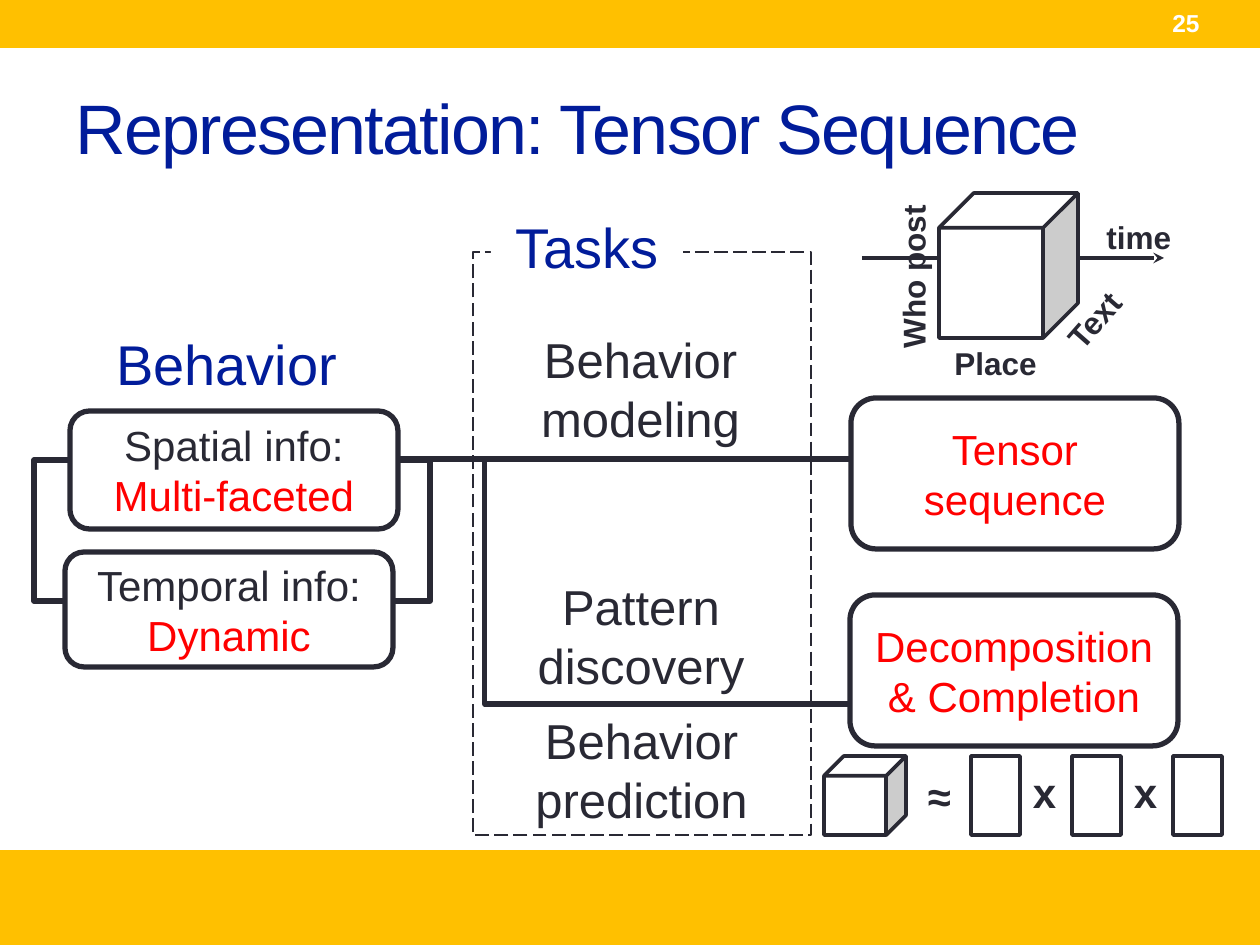
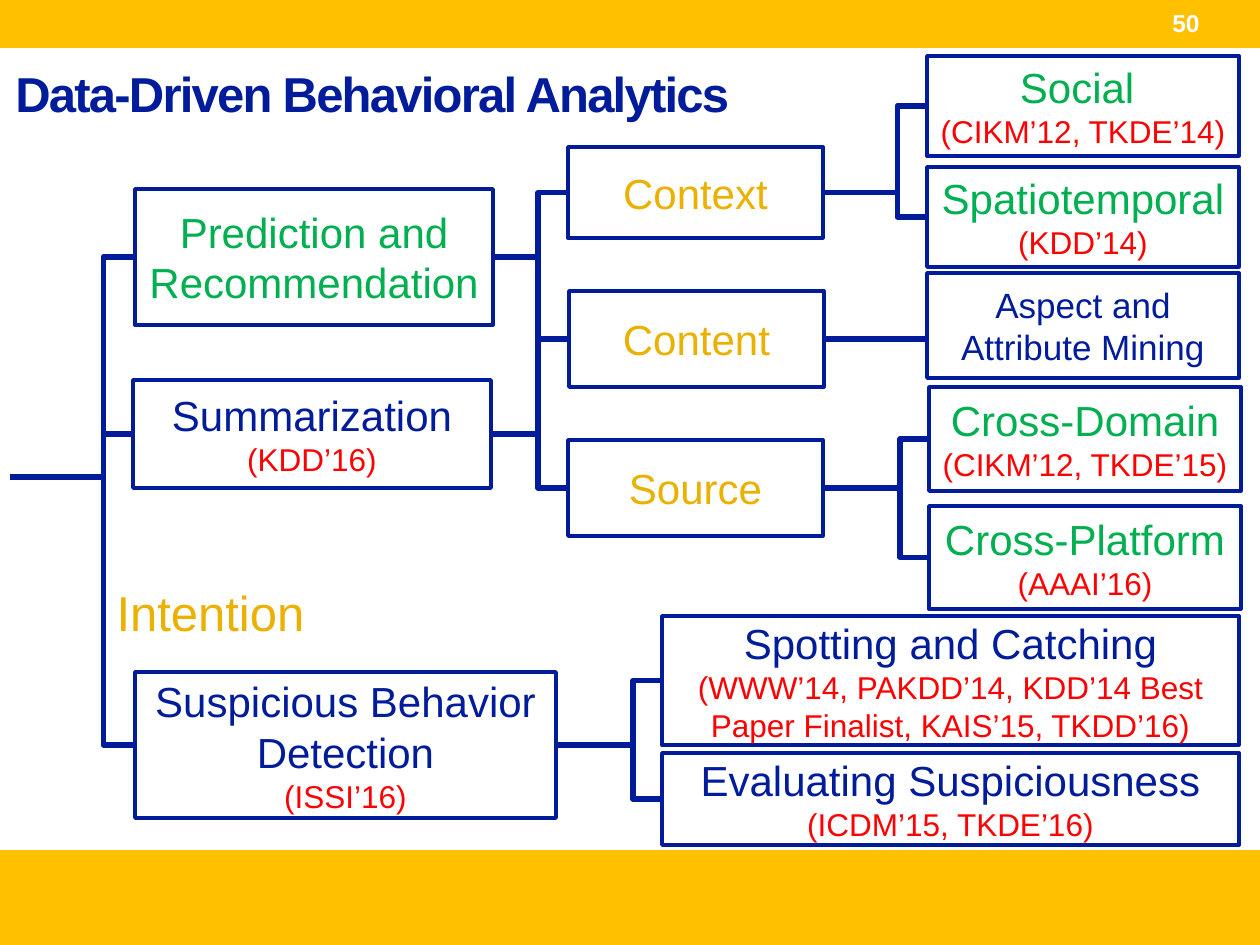
from lxml import etree
from pptx import Presentation
from pptx.dml.color import RGBColor
from pptx.enum.dml import MSO_LINE
from pptx.enum.shapes import MSO_CONNECTOR, MSO_SHAPE
from pptx.enum.text import MSO_ANCHOR, PP_ALIGN
from pptx.oxml.ns import qn
from pptx.util import Pt

EMU_PER_PX = 914400 / 126
WIDTH, HEIGHT = 1260, 945
FONT = "Arial"
GOLD, NAVY, INK, WHITE = "FFC000", "011C9A", "292934", "FFFFFF"
RED, GREEN, AMBER = "FF0000", "00B050", "EBB100"
THIN, THICK = 2.08, 3
LEFT_SIDE, RIGHT_SIDE = 1, 3

BANDS = [(0, 0, WIDTH, 48), (0, 850, WIDTH, 95)]
PAGE_NUMBER = (1160, 0, 100, 45)

BEHAVIOR_HEADING = ((63, 315, 328, 97), "Behavior")
TASKS_HEADING = ((491, 210, 192, 73), "Tasks")
TASKS_FRAME = (473, 252, 338, 583)
ROUNDED = [
    ((70, 411, 328, 118), [("Spatial info:", INK), ("Multi-faceted", RED)]),
    ((65, 552, 328, 115), [("Temporal info:", INK), ("Dynamic", RED)]),
    ((851, 398, 328, 151), [("Tensor sequence", RED)]),
    ((850, 595, 328, 151), [("Decomposition & Completion", RED)]),
]
TASKS = [
    ((452, 604, 378, 63), "Pattern discovery"),
    ((440, 738, 403, 63), "Behavior prediction"),
    ((491, 357, 299, 63), "Behavior modeling"),
]
INFO_BRACKETS = [
    ((65, 601), (70, 460), 34),
    ((393, 601), (398, 460), 430),
    ((850, 704), (849, 459), 482),
]
INFO_TO_TENSOR = ((398, 459), (850, 459))
TENSOR_CUBE = (939, 193, 139, 145)
TIME_AXIS = [((862, 258), (939, 258), False), ((1077, 258), (1164, 258), True)]
AXIS_LABELS = [
    ((942, 338, 108, 50), "Place", 0),
    ((828, 251, 170, 50), "Who post", 270),
    ((1050, 294, 88, 50), "Text", 311.3),
    ((1094, 212, 91, 50), "time", 0),
]
SMALL_CUBE = (824, 756, 82, 79)
APPROX = (915, 775, 49, 42)
FACTOR_COUNT, FACTOR_X, FACTOR_STEP, FACTOR_W = 3, 971, 101, 49

TOPICS = {
    "Prediction and Recommendation": ((135, 189, 358, 136), GREEN, 24, ""),
    "Summarization": ((133, 380, 358, 108), NAVY, 24, "(KDD’16)"),
    "Suspicious Behavior Detection": ((135, 672, 421, 146), NAVY, 24, "(ISSI’16)"),
    "Context": ((568, 147, 255, 91), AMBER, 24, ""),
    "Content": ((569, 291, 255, 96), AMBER, 24, ""),
    "Source": ((568, 440, 255, 96), AMBER, 24, ""),
    "Social ": ((927, 56, 312, 100), GREEN, 24, "(CIKM’12, TKDE’14)"),
    "Spatiotemporal": ((927, 167, 312, 100), GREEN, 24, "(KDD’14)"),
    "Aspect and Attribute Mining": ((927, 273, 312, 105), NAVY, 20, ""),
    "Cross-Domain": ((929, 387, 312, 104), GREEN, 24, "(CIKM’12, TKDE’15)"),
    "Cross-Platform": ((929, 506, 312, 103), GREEN, 24, "(AAAI’16)"),
    "Spotting and Catching": (
        (662, 616, 577, 129), NAVY, 24,
        "(WWW’14, PAKDD’14, KDD’14 Best Paper Finalist, KAIS’15, TKDD’16)"),
    "Evaluating Suspiciousness": ((662, 753, 577, 92), NAVY, 24, "(ICDM’15, TKDE’16)"),
}
TOPIC_BRACKETS = [
    ("Prediction and Recommendation", "Suspicious Behavior Detection", 103),
    ("Context", "Source", 538),
    ("Social ", "Spatiotemporal", 897),
    ("Cross-Domain", "Cross-Platform", 900),
    ("Spotting and Catching", "Evaluating Suspiciousness", 633),
]
STUBS = [
    ("Prediction and Recommendation", RIGHT_SIDE, 538),
    ("Summarization", RIGHT_SIDE, 538),
    ("Summarization", LEFT_SIDE, 103),
    ("Context", RIGHT_SIDE, 897),
    ("Content", LEFT_SIDE, 538),
    ("Content", RIGHT_SIDE, 927),
    ("Source", RIGHT_SIDE, 900),
    ("Suspicious Behavior Detection", RIGHT_SIDE, 630),
]
TRUNK = ((10, 477), (103, 477))
INTENTION = (103, 576, 215, 72)


def px(*values):
    return [round(v * EMU_PER_PX) for v in values]


def rgb(color):
    return RGBColor.from_string(color)


def write(sp, paras, align=PP_ALIGN.CENTER, anchor=MSO_ANCHOR.MIDDLE, wrap=True,
          bold=False, spacing=None):
    tf = sp.text_frame
    tf.word_wrap = wrap
    tf.vertical_anchor = anchor
    for i, (text, size, color) in enumerate(paras):
        p = tf.paragraphs[0] if i == 0 else tf.add_paragraph()
        p.alignment = align
        r = p.add_run()
        r.text = text
        r.font.name = FONT
        r.font.size = Pt(size)
        r.font.bold = bold
        r.font.color.rgb = rgb(color)
        if spacing:
            r.font._element.set("spc", str(spacing))


def label(s, at, text, size, color, rotation=0, **style):
    sp = s.shapes.add_textbox(*px(*at))
    sp.rotation = rotation
    write(sp, [(text, size, color)], **style)


def box(s, kind, at, fill=None, line=None, weight=THIN, paras=()):
    sp = s.shapes.add_shape(kind, *px(*at))
    sp.shadow.inherit = False
    if fill:
        sp.fill.solid()
        sp.fill.fore_color.rgb = rgb(fill)
    else:
        sp.fill.background()
    if line:
        sp.line.color.rgb = rgb(line)
        sp.line.width = Pt(weight)
    else:
        sp.line.fill.background()
    if paras:
        write(sp, paras)
    return sp


def connect(s, start, end, color, weight=THICK, kind=MSO_CONNECTOR.STRAIGHT, arrow=False):
    c = s.shapes.add_connector(kind, *px(*start, *end))
    c.line.color.rgb = rgb(color)
    c.line.width = Pt(weight)
    if arrow:
        etree.SubElement(c.line._get_or_add_ln(), qn("a:tailEnd"), type="stealth")
    etree.SubElement(c._element.spPr, qn("a:effectLst"))
    return c


def bracket(s, start, end, spine_x, color):
    c = connect(s, start, end, color, kind=MSO_CONNECTOR.ELBOW)
    ratio = (spine_x - start[0]) / (end[0] - start[0])
    geom = c._element.spPr.find(qn("a:prstGeom"))
    guides = geom.find(qn("a:avLst"))
    if guides is None:
        guides = etree.SubElement(geom, qn("a:avLst"))
    etree.SubElement(guides, qn("a:gd"), name="adj1", fmla=f"val {round(ratio * 100000)}")


def new_slide(prs, number, title, title_at, size, bold):
    s = prs.slides.add_slide(prs.slide_layouts[6])
    for band in BANDS:
        box(s, MSO_SHAPE.RECTANGLE, band, GOLD)
    label(s, title_at, title, size, NAVY, align=PP_ALIGN.LEFT, bold=bold, spacing=-100)
    label(s, PAGE_NUMBER, number, 14, WHITE, align=PP_ALIGN.LEFT, bold=True)
    return s


def tensor_slide(prs):
    s = new_slide(prs, "25", "Representation: Tensor Sequence", (63, 59, 1134, 136), 40, False)
    at, text = BEHAVIOR_HEADING
    box(s, MSO_SHAPE.ROUNDED_RECTANGLE, at, WHITE, paras=[(text, 32, NAVY)])
    for at, lines in ROUNDED:
        box(s, MSO_SHAPE.ROUNDED_RECTANGLE, at, WHITE, INK, THICK,
            [(text, 24, color) for text, color in lines])
    for start, end, spine_x in INFO_BRACKETS:
        bracket(s, start, end, spine_x, INK)
    connect(s, *INFO_TO_TENSOR, INK)
    for at, text in TASKS:
        label(s, at, text, 28, INK)
    frame = box(s, MSO_SHAPE.RECTANGLE, TASKS_FRAME, line=INK, weight=1)
    frame.line.dash_style = MSO_LINE.LONG_DASH
    at, text = TASKS_HEADING
    box(s, MSO_SHAPE.RECTANGLE, at, WHITE, paras=[(text, 32, NAVY)])

    box(s, MSO_SHAPE.CUBE, TENSOR_CUBE, WHITE, INK)
    for at, text, rotation in AXIS_LABELS:
        label(s, at, text, 18, INK, rotation, align=PP_ALIGN.LEFT,
              anchor=MSO_ANCHOR.TOP, wrap=False, bold=True)
    for start, end, arrow in TIME_AXIS:
        connect(s, start, end, INK, THIN, arrow=arrow)

    box(s, MSO_SHAPE.CUBE, SMALL_CUBE, WHITE, INK)
    label(s, APPROX, "≈", 24, INK, bold=True)
    for i in range(FACTOR_COUNT):
        x = FACTOR_X + i * FACTOR_STEP
        factor = box(s, MSO_SHAPE.CUBE, (x, 756, FACTOR_W, 79), WHITE, INK)
        factor.adjustments[0] = 0
        if i < FACTOR_COUNT - 1:
            label(s, (x + FACTOR_W, 771, FACTOR_W, 42), "x", 24, INK, bold=True)


def left_middle(topic):
    x, y, _, h = TOPICS[topic][0]
    return x, y + h / 2


def analytics_slide(prs):
    s = new_slide(prs, "50", "Data-Driven Behavioral Analytics", (3, 25, 1134, 136), 28, True)
    shapes = {}
    for topic, (at, color, size, venues) in TOPICS.items():
        paras = [(topic, size, color)]
        if venues:
            paras.append((venues, 18, RED))
        shapes[topic] = box(s, MSO_SHAPE.RECTANGLE, at, line=NAVY, paras=paras)
    for upper, lower, spine_x in TOPIC_BRACKETS:
        x, y = left_middle(upper)
        bracket(s, (x + 1, y), left_middle(lower), spine_x, NAVY)
    for topic, side, end_x in STUBS:
        x, y = left_middle(topic)
        c = connect(s, (x, y), (end_x, y), NAVY)
        c.begin_connect(shapes[topic], side)
    connect(s, *TRUNK, NAVY)
    label(s, INTENTION, "Intention", 28, AMBER, anchor=MSO_ANCHOR.TOP, wrap=False)


def main():
    prs = Presentation()
    prs.slide_width, prs.slide_height = px(WIDTH, HEIGHT)
    tensor_slide(prs)
    analytics_slide(prs)
    prs.save("out.pptx")


if __name__ == "__main__":
    main()
